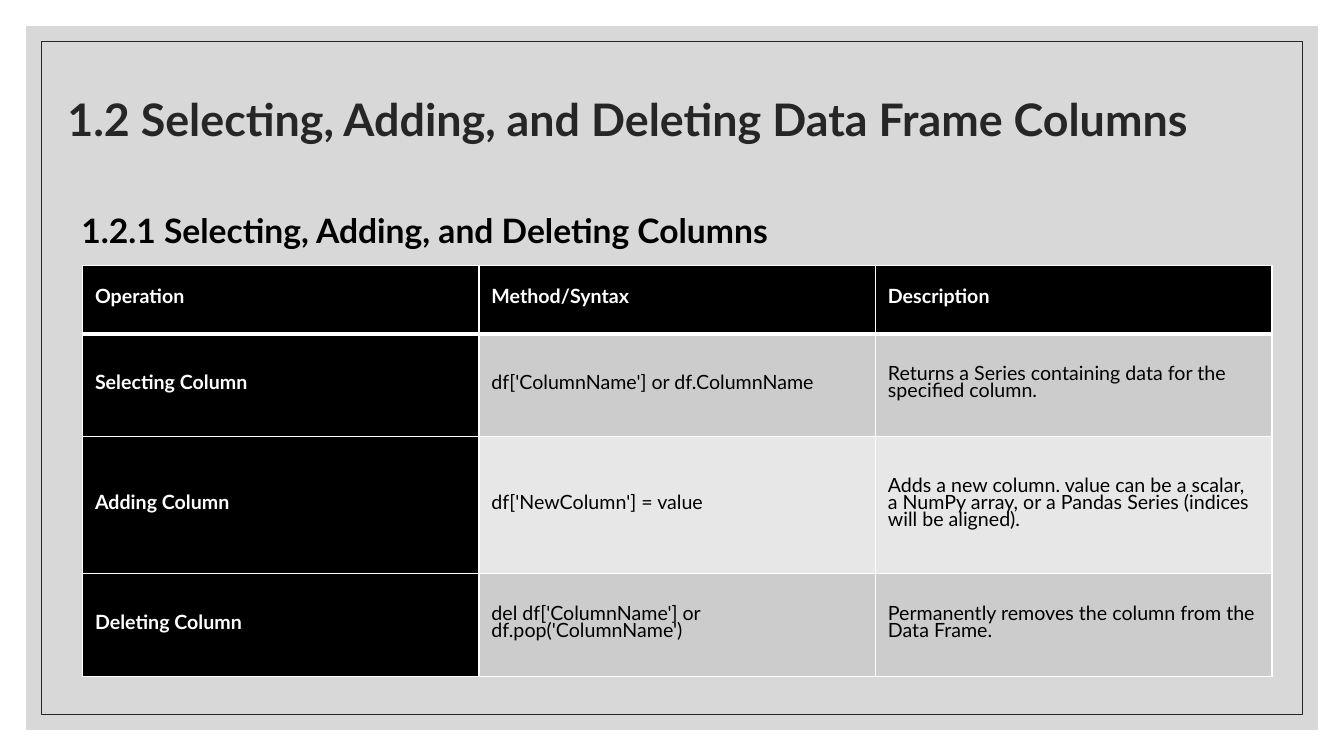
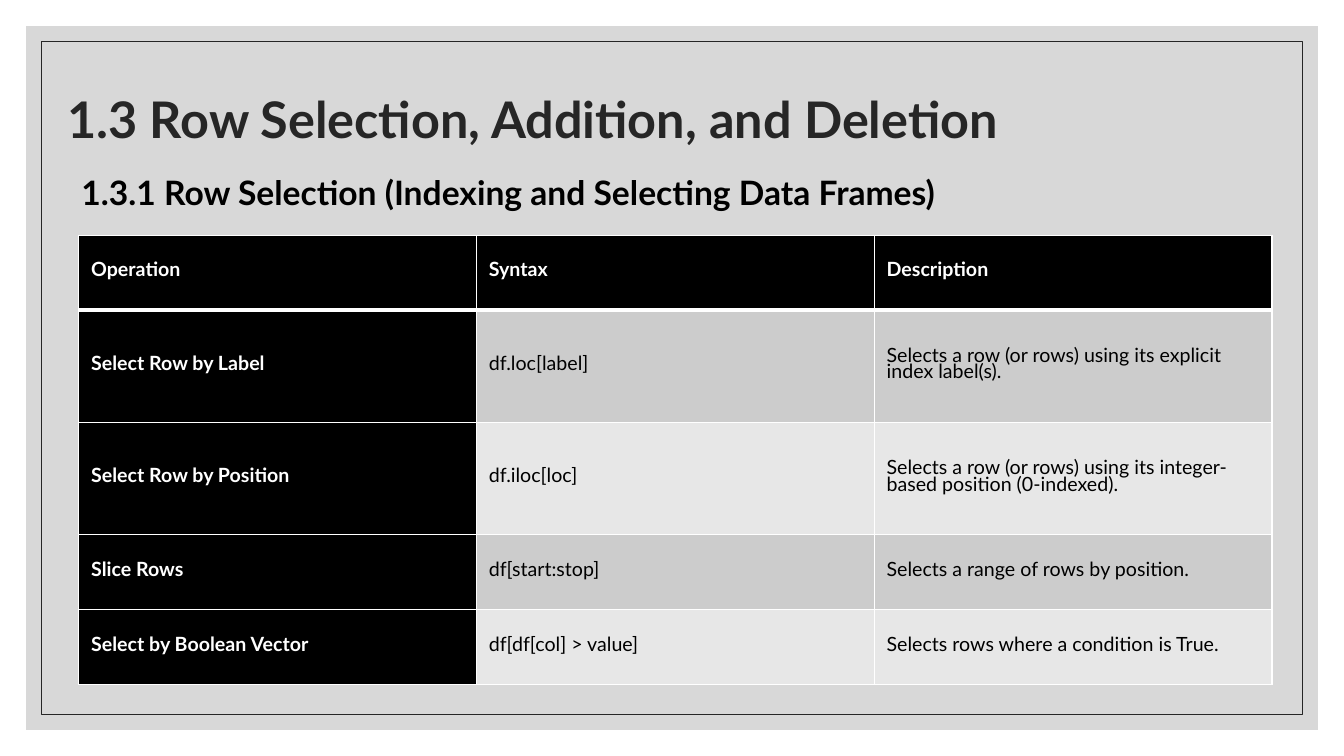
"""Build two slides that tabulate data frame column and row operations."""
import lxml.etree
import pptx
import pptx.dml.color
import pptx.enum.shapes
import pptx.enum.text
import pptx.oxml.ns
import pptx.util

Pt = pptx.util.Pt
RGBColor = pptx.dml.color.RGBColor
ANCHOR = pptx.enum.text.MSO_ANCHOR
ALIGN = pptx.enum.text.PP_ALIGN
qn = pptx.oxml.ns.qn

BLACK = RGBColor(0x00, 0x00, 0x00)
WHITE = RGBColor(0xFF, 0xFF, 0xFF)
CHARCOAL = RGBColor(0x26, 0x26, 0x26)
PANEL_GRAY = RGBColor(0xBF, 0xBF, 0xBF)
BAND_FILLS = (RGBColor(0xCC, 0xCC, 0xCC), RGBColor(0xE7, 0xE7, 0xE7))

FONT = "Lato"
PAGE_WIDTH, PAGE_HEIGHT = 960, 540
PANEL_MARGIN, OUTLINE_MARGIN = 18.7, 29.5
TITLE_BOX = (41, 33.1, 857.5, 108)
HEADING_LEFT, HEADING_WIDTH, HEADING_HEIGHT = 51.1, 857.5, 50
TABLE_RIGHT = 908.6
THIN_RULE, HEADER_RULE = 0.96, 3

PAGES = (
    {
        "title": "1.2 Selecting, Adding, and Deleting Data Frame Columns",
        "title_size": 32,
        "heading": "1.2.1 Selecting, Adding, and Deleting Columns",
        "heading_top": 131.8,
        "table_box": (59, 189.4, TABLE_RIGHT - 59, 293.8),
        "row_units": (2, 3, 4, 3),
        "rows": (
            ("Operation", "Method/Syntax", "Description"),
            ("Selecting Column", "df['ColumnName'] or df.ColumnName",
             "Returns a Series containing data for the specified column."),
            ("Adding Column", "df['NewColumn'] = value",
             "Adds a new column. value can be a scalar, a NumPy array, "
             "or a Pandas Series (indices will be aligned)."),
            ("Deleting Column", "del df['ColumnName'] or df.pop('ColumnName')",
             "Permanently removes the column from the Data Frame."),
        ),
    },
    {
        "title": "1.3 Row Selection, Addition, and Deletion",
        "title_size": 36,
        "heading": "1.3.1 Row Selection (Indexing and Selecting Data Frames)",
        "heading_top": 105.1,
        "table_box": (56.2, 168, TABLE_RIGHT - 56.2, 321.1),
        "row_units": (2, 3, 3, 2, 2),
        "rows": (
            ("Operation", "Syntax", "Description"),
            ("Select Row by Label", "df.loc[label]",
             "Selects a row (or rows) using its explicit index label(s)."),
            ("Select Row by Position", "df.iloc[loc]",
             "Selects a row (or rows) using its integer-based position (0-indexed)."),
            ("Slice Rows", "df[start:stop]", "Selects a range of rows by position."),
            ("Select by Boolean Vector", "df[df[col] > value]",
             "Selects rows where a condition is True."),
        ),
    },
)


def style_font(para, size, color, bold):
    """Set the shared typeface with the given size, colour and weight."""
    para.font.name = FONT
    para.font.size = Pt(size)
    para.font.color.rgb = color
    para.font.bold = bold


def add_page_rectangle(page, margin):
    """Add a rectangle inset from every page edge by the margin."""
    rectangle = page.shapes.add_shape(
        pptx.enum.shapes.MSO_SHAPE.RECTANGLE, Pt(margin), Pt(margin),
        Pt(PAGE_WIDTH - 2 * margin), Pt(PAGE_HEIGHT - 2 * margin))
    rectangle.shadow.inherit = False
    return rectangle


def add_frame(page):
    """Draw the translucent gray panel and the thin outline inside it."""
    panel = add_page_rectangle(page, PANEL_MARGIN)
    panel.fill.solid()
    panel.fill.fore_color.rgb = PANEL_GRAY
    panel.line.fill.background()
    color = panel.fill._xPr.find(".//" + qn("a:srgbClr"))
    lxml.etree.SubElement(color, qn("a:alpha"), val="60000")
    outline = add_page_rectangle(page, OUTLINE_MARGIN)
    outline.fill.background()
    outline.line.color.rgb = CHARCOAL
    outline.line.width = Pt(0.5)


def add_text(page, box, text, size, color, line_spacing, anchor, align):
    """Place one bold line of text in the box."""
    frame = page.shapes.add_textbox(*map(Pt, box)).text_frame
    frame.word_wrap = True
    frame.vertical_anchor = anchor
    para = frame.paragraphs[0]
    para.text = text
    para.alignment = align
    para.line_spacing = line_spacing
    style_font(para, size, color, True)


def set_borders(cell, top, bottom):
    """Give a cell white borders, with its own top and bottom widths."""
    properties = cell._tc.get_or_add_tcPr()
    widths = {"lnL": THIN_RULE, "lnR": THIN_RULE, "lnT": top, "lnB": bottom}
    for tag, width in widths.items():
        line = lxml.etree.SubElement(properties, qn("a:" + tag), w=str(int(Pt(width))))
        fill = lxml.etree.SubElement(line, qn("a:solidFill"))
        lxml.etree.SubElement(fill, qn("a:srgbClr"), val=str(WHITE))


def fill_cell(cell, text, row, column):
    """Write and style a table cell according to its row and column."""
    is_label = row == 0 or column == 0
    set_borders(cell, HEADER_RULE if row == 1 else THIN_RULE,
                HEADER_RULE if row == 0 else THIN_RULE)
    cell.fill.solid()
    cell.fill.fore_color.rgb = BLACK if is_label else BAND_FILLS[(row - 1) % 2]
    cell.vertical_anchor = ANCHOR.MIDDLE
    cell.margin_left = cell.margin_right = Pt(8.9)
    cell.margin_top = cell.margin_bottom = Pt(5.8)
    para = cell.text_frame.paragraphs[0]
    para.text = text
    para.line_spacing = Pt(12)
    para.space_after = Pt(6)
    style_font(para, 14, WHITE if is_label else BLACK, is_label)


def add_operations_table(page, box, rows, row_units):
    """Fill the box with a table whose row heights follow the units."""
    width, height = box[2:]
    columns = len(rows[0])
    table = page.shapes.add_table(len(rows), columns, *map(Pt, box)).table
    table.first_col = True
    table.horz_banding = False
    for column in table.columns:
        column.width = Pt(width / columns)
    for row_index, (texts, units) in enumerate(zip(rows, row_units)):
        table.rows[row_index].height = Pt(height * units / sum(row_units))
        for column_index, text in enumerate(texts):
            fill_cell(table.cell(row_index, column_index), text, row_index, column_index)


def add_operations_page(deck, content):
    """Add one page with its frame, title, heading and table."""
    page = deck.slides.add_slide(deck.slide_layouts[6])
    add_frame(page)
    add_text(page, TITLE_BOX, content["title"], content["title_size"], CHARCOAL,
             0.9, ANCHOR.MIDDLE, ALIGN.LEFT)
    heading_box = (HEADING_LEFT, content["heading_top"], HEADING_WIDTH, HEADING_HEIGHT)
    add_text(page, heading_box, content["heading"], 24, BLACK,
             1.5, ANCHOR.TOP, ALIGN.JUSTIFY)
    add_operations_table(page, content["table_box"], content["rows"], content["row_units"])


def main():
    """Build and save the deck."""
    deck = pptx.Presentation()
    deck.slide_width, deck.slide_height = Pt(PAGE_WIDTH), Pt(PAGE_HEIGHT)
    for content in PAGES:
        add_operations_page(deck, content)
    deck.save("out.pptx")


if __name__ == "__main__":
    main()
